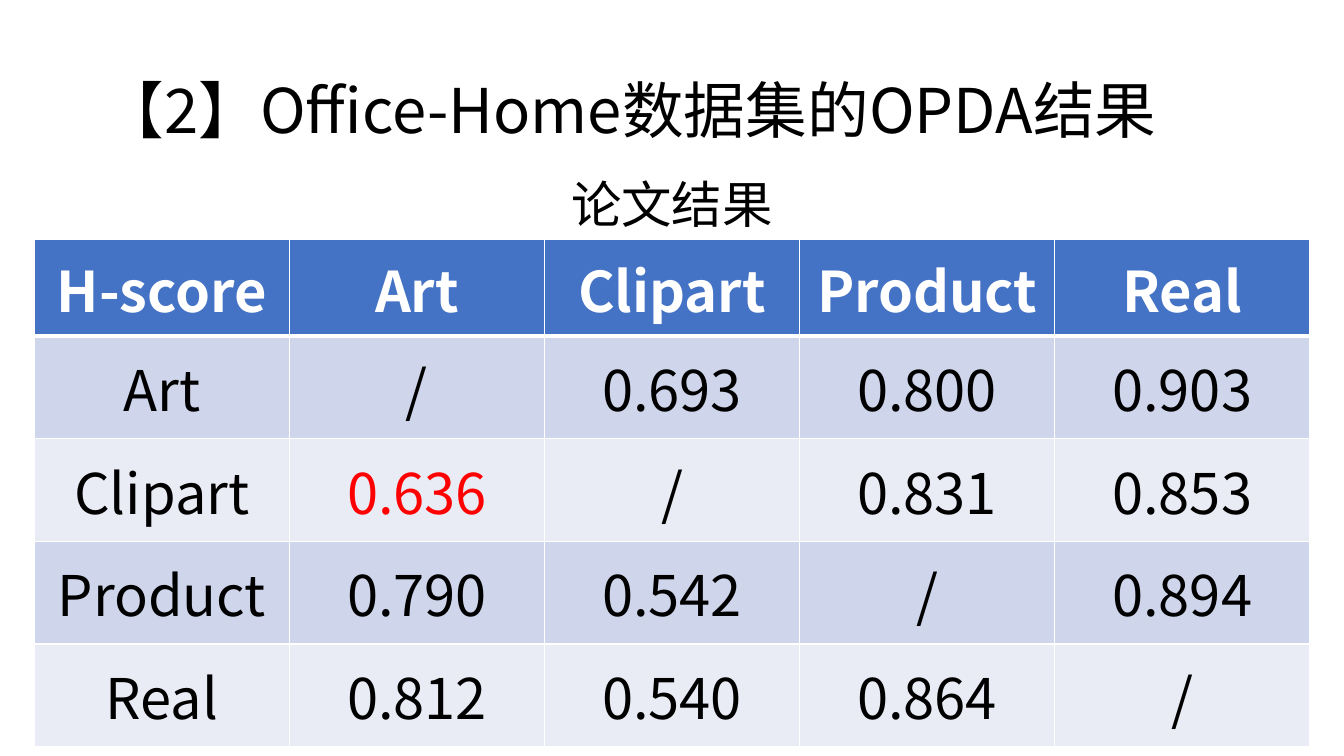
from lxml.etree import SubElement
from pptx import Presentation
from pptx.dml.color import RGBColor
from pptx.enum.text import MSO_ANCHOR as Anchor, MSO_AUTO_SIZE as AutoSize, PP_ALIGN as Align
from pptx.oxml.ns import qn
from pptx.util import Inches, Pt

COLORS = {
    "text": "000000",
    "white": "FFFFFF",
    "header": "4472C4",
    "odd": "CFD5EA",
    "even": "E9EBF5",
    "highlight": "FF0000",
}
FONT = "Noto Sans CJK SC"
DOMAINS = ["Art", "Clipart", "Product", "Real"]
SCORES = [
    ["/", "0.693", "0.800", "0.903"],
    ["0.636", "/", "0.831", "0.853"],
    ["0.790", "0.542", "/", "0.894"],
    ["0.812", "0.540", "0.864", "/"],
]
LOW_SCORE = "0.636"


class SlideBuilder:
    """Hold the text style and the current slide, and add its elements."""

    def __init__(self, slide, font, colors):
        self.slide = slide
        self.font = font
        self.colors = colors

    def color(self, name):
        return RGBColor.from_string(self.colors[name])

    def add_span(self, frame, text, size, color="text", bold=False, **para_format):
        para = frame.paragraphs[0]
        for name, value in para_format.items():
            setattr(para, name, value)
        span = para.add_run()
        span.text = text
        font_format = {"name": self.font, "size": Pt(size), "bold": bold}
        for name, value in font_format.items():
            setattr(span.font, name, value)
        span.font.color.rgb = self.color(color)
        SubElement(span.font._element, qn("a:ea"), typeface=self.font)

    def add_text(self, place, text, size, frame_format, **para_format):
        box = self.slide.shapes.add_textbox(*map(Inches, place))
        for name, value in frame_format.items():
            setattr(box.text_frame, name, value)
        self.add_span(box.text_frame, text, size, **para_format)

    def add_borders(self, cell, widths):
        properties = cell._tc.get_or_add_tcPr()
        for index, (side, width) in enumerate(widths.items()):
            line = properties.makeelement(qn(f"a:{side}"), {"w": str(Pt(width))})
            fill = SubElement(line, qn("a:solidFill"))
            SubElement(fill, qn("a:srgbClr"), val=self.colors["white"])
            properties.insert(index, line)

    def add_table(self, place, rows, heights, size):
        frame = self.slide.shapes.add_table(len(rows), len(rows[0]), *map(Inches, place))
        table = frame.table
        for column in table.columns:
            column.width = Inches(place[2] / len(rows[0]))
        for row_index, (values, height) in enumerate(zip(rows, heights)):
            table.rows[row_index].height = Inches(height)
            header = row_index == 0
            band = "header" if header else "odd" if row_index % 2 else "even"
            widths = {
                "lnL": 1,
                "lnR": 1,
                "lnT": 3 if row_index == 1 else 1,
                "lnB": 3 if header else 1,
            }
            for column_index, value in enumerate(values):
                cell = table.cell(row_index, column_index)
                cell.vertical_anchor = Anchor.MIDDLE
                cell.fill.solid()
                cell.fill.fore_color.rgb = self.color(band)
                self.add_borders(cell, widths)
                color = "white" if header else "highlight" if value == LOW_SCORE else "text"
                self.add_span(cell.text_frame, value, size, color, header, alignment=Align.CENTER)


def main():
    deck = Presentation()
    deck.slide_width, deck.slide_height = Inches(13.33), Inches(7.5)
    page = SlideBuilder(deck.slides.add_slide(deck.slide_layouts[6]), FONT, COLORS)
    page.add_text(
        (0.92, 0.4, 11.5, 1.45),
        "【2】Office-Home数据集的OPDA结果",
        44,
        {"word_wrap": True, "vertical_anchor": Anchor.MIDDLE},
        line_spacing=0.9,
    )
    rows = [["H-score", *DOMAINS]]
    rows += [[domain, *scores] for domain, scores in zip(DOMAINS, SCORES)]
    page.add_table((0.34, 2.38, 12.65, 5.03), rows, [0.95] + [1.02] * len(DOMAINS), 40)
    page.add_text(
        (4.85, 1.67, 3.63, 0.71),
        "论文结果",
        36,
        {"word_wrap": True, "auto_size": AutoSize.SHAPE_TO_FIT_TEXT},
        alignment=Align.CENTER,
    )
    deck.save("out.pptx")


if __name__ == "__main__":
    main()
